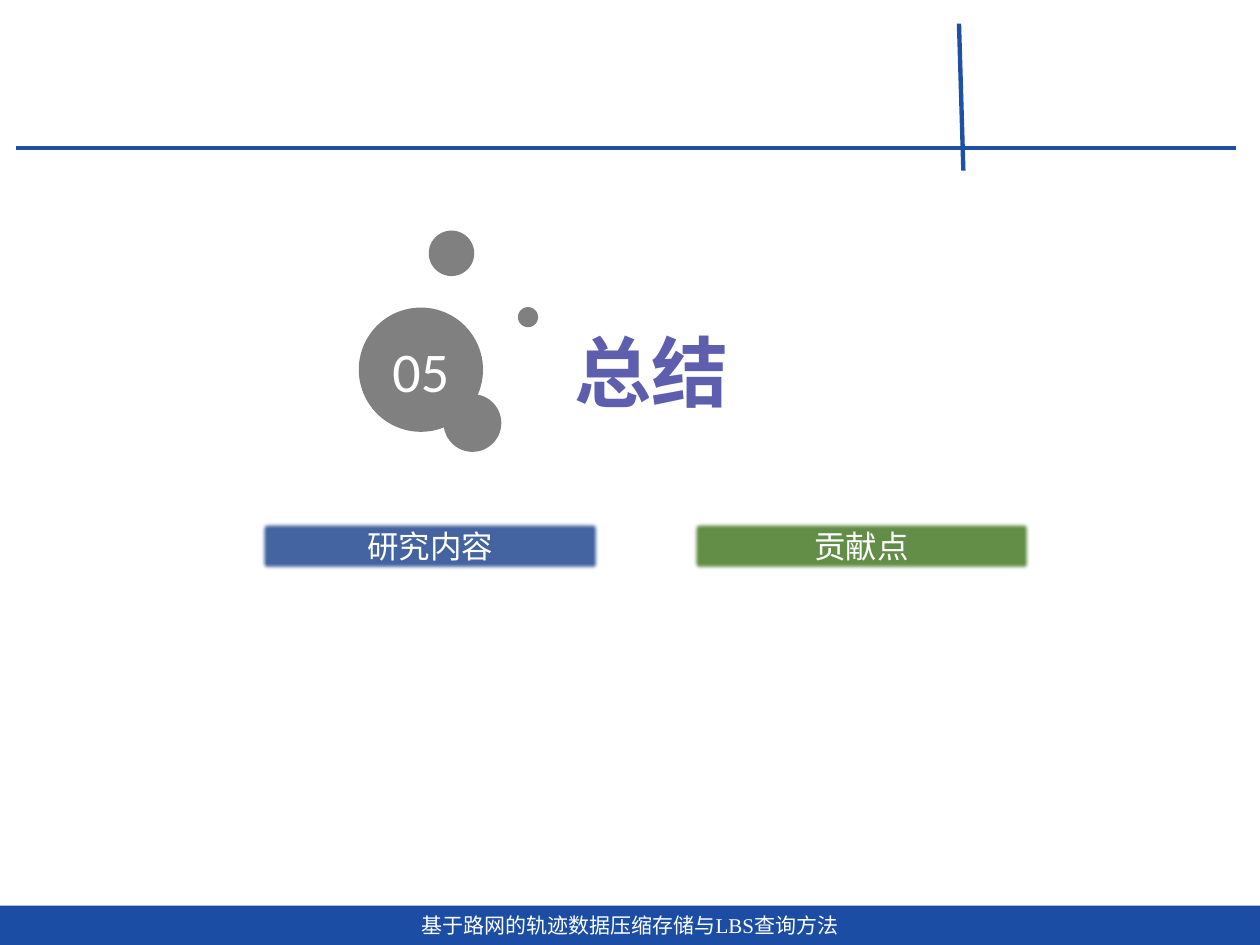
from lxml import etree
from pptx import Presentation
from pptx.dml.color import RGBColor
from pptx.enum import shapes, text
from pptx.oxml import ns
from pptx.util import Pt

RULE_BLUE = RGBColor(0x1E, 0x50, 0xA6)
FOOTER_BLUE = RGBColor(0x1B, 0x4D, 0xA5)
TITLE_PURPLE = RGBColor(0x5E, 0x5E, 0xAF)
TOPIC_BLUE = RGBColor(0x2F, 0x55, 0x97)
TOPIC_GREEN = RGBColor(0x54, 0x82, 0x35)
BUBBLE_GRAY = RGBColor(0x80, 0x80, 0x80)
WHITE = RGBColor(0xFF, 0xFF, 0xFF)
CJK_FONT = "Noto Sans CJK SC"
LATIN_FONT = "Times New Roman"


def write(shape, wording, size, font, color, bold=False):
    """Put one centred run into a shape, with no inner margins."""
    frame = shape.text_frame
    frame.word_wrap = True
    frame.vertical_anchor = text.MSO_ANCHOR.MIDDLE
    frame.margin_left = frame.margin_right = Pt(0)
    frame.margin_top = frame.margin_bottom = Pt(0)
    paragraph = frame.paragraphs[0]
    paragraph.alignment = text.PP_ALIGN.CENTER
    run = paragraph.add_run()
    run.text = wording
    run.font.size = Pt(size)
    run.font.bold = bold
    run.font.color.rgb = color
    run.font.name = font
    east_asian = etree.SubElement(run.font._element, ns.qn("a:ea"))
    east_asian.set("typeface", CJK_FONT)


def add_filled(slide, preset, left, top, width, height, color):
    shape = slide.shapes.add_shape(preset, Pt(left), Pt(top), Pt(width), Pt(height))
    shape.shadow.inherit = False
    shape.fill.solid()
    shape.fill.fore_color.rgb = color
    shape.line.fill.background()
    return shape


def add_rule(slide, x1, y1, x2, y2):
    rule = slide.shapes.add_connector(
        shapes.MSO_CONNECTOR.STRAIGHT, Pt(x1), Pt(y1), Pt(x2), Pt(y2))
    rule.line.color.rgb = RULE_BLUE
    rule.line.width = Pt(2.5)
    etree.SubElement(rule._element.spPr, ns.qn("a:effectLst"))


def add_topic(slide, left, wording, color):
    """Slightly transparent bar with soft edges."""
    topic = add_filled(slide, shapes.MSO_SHAPE.RECTANGLE, left, 297.5, 194.5, 29, color)
    properties = topic._element.spPr
    rgb = properties.find(ns.qn("a:solidFill")).find(ns.qn("a:srgbClr"))
    etree.SubElement(rgb, ns.qn("a:alpha")).set("val", "90000")
    effects = properties.find(ns.qn("a:effectLst"))
    etree.SubElement(effects, ns.qn("a:softEdge")).set("rad", str(Pt(2.5)))
    write(topic, wording, 18, LATIN_FONT, WHITE)


def add_bubble(slide, left, top, diameter):
    return add_filled(slide, shapes.MSO_SHAPE.FLOWCHART_CONNECTOR,
                      left, top, diameter, diameter, BUBBLE_GRAY)


def add_title(slide, wording):
    title = slide.shapes.title
    title.left, title.top, title.width, title.height = Pt(183.6), Pt(149.8), Pt(378), Pt(123.8)
    write(title, wording, 44, CJK_FONT, TITLE_PURPLE, bold=True)


def main():
    deck = Presentation()
    deck.slide_width, deck.slide_height = Pt(720), Pt(540)
    slide = deck.slides.add_slide(deck.slide_layouts[5])

    # Crossed header rules
    add_rule(slide, 9, 84.75, 706.5, 84.75)
    add_rule(slide, 548, 13.5, 550.5, 97.5)

    # Footer
    footer = add_filled(slide, shapes.MSO_SHAPE.RECTANGLE, 0, 517.5, 720, 22.5, FOOTER_BLUE)
    write(footer, "基于路网的轨迹数据压缩存储与LBS查询方法", 12, LATIN_FONT, WHITE)

    # Section title and topics
    add_title(slide, "总结")
    add_topic(slide, 148.5, "研究内容", TOPIC_BLUE)
    add_topic(slide, 395, "贡献点", TOPIC_GREEN)

    # Section number with its bubbles
    section_number = add_bubble(slide, 205, 175.75, 71)
    write(section_number, "05", 32, "Calibri", WHITE)
    for left, top, diameter in ((253.5, 225.25, 33), (245, 131.75, 26), (296, 175.5, 11.5)):
        add_bubble(slide, left, top, diameter)

    deck.save("out.pptx")


if __name__ == "__main__":
    main()
